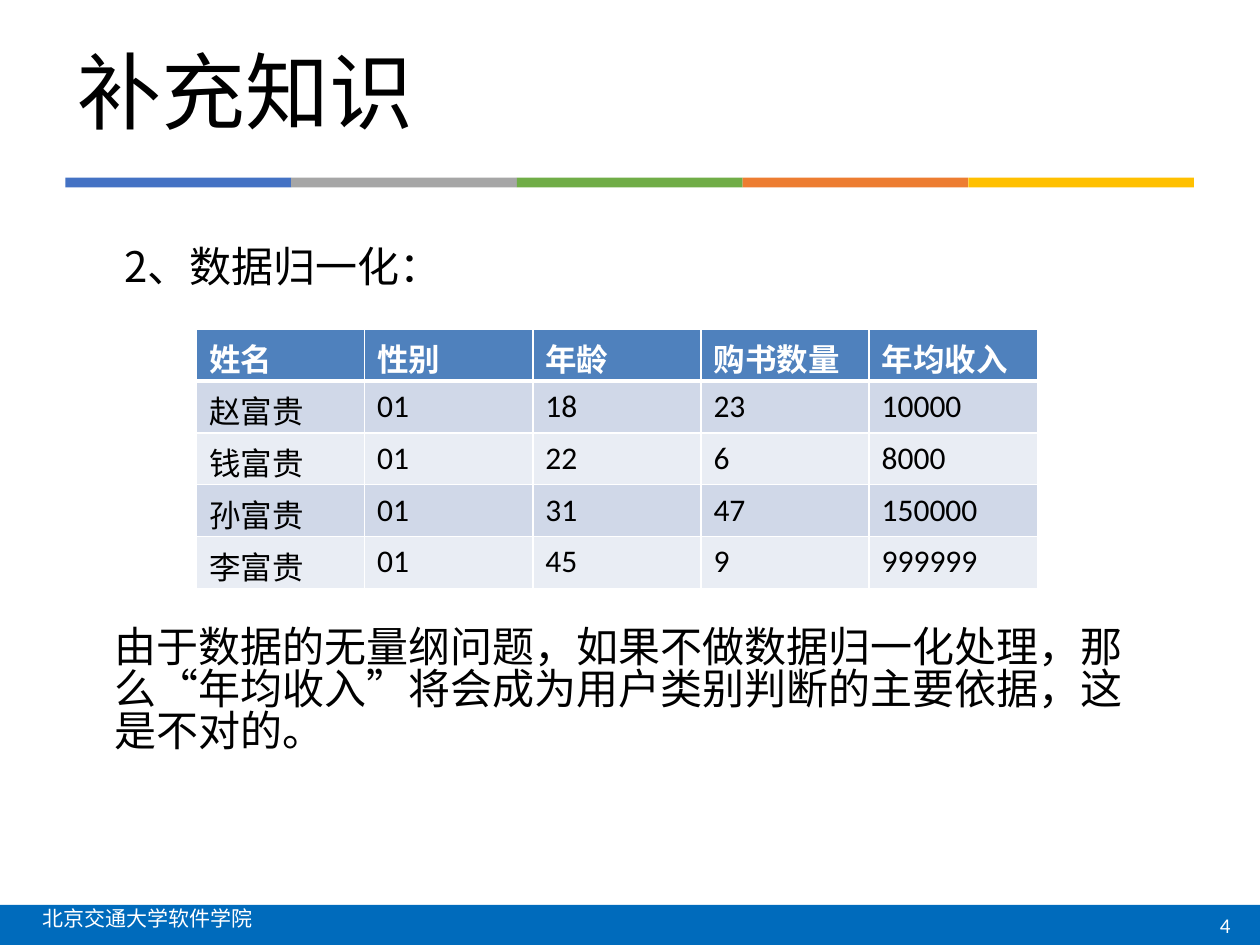
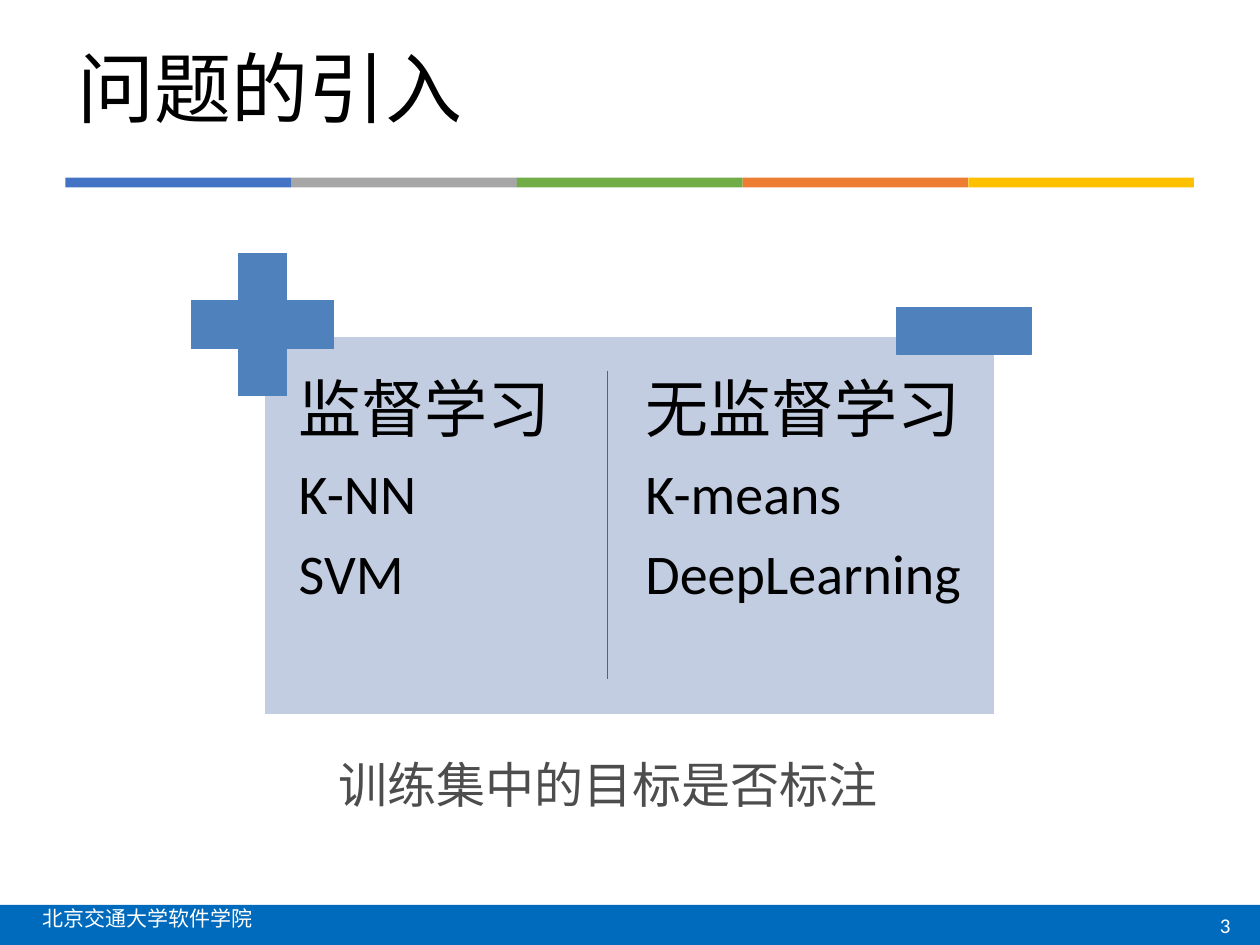
from lxml import etree
from pptx import Presentation
from pptx.dml.color import RGBColor
from pptx.enum.shapes import MSO_CONNECTOR, MSO_SHAPE
from pptx.enum.text import MSO_ANCHOR, MSO_AUTO_SIZE, PP_ALIGN
from pptx.oxml.ns import qn
from pptx.util import Cm, Pt

RECT = MSO_SHAPE.RECTANGLE
PLUS = MSO_SHAPE.CROSS
STRAIGHT = MSO_CONNECTOR.STRAIGHT
TOP = MSO_ANCHOR.TOP
NO_FIT = MSO_AUTO_SIZE.NONE
LEFT = PP_ALIGN.LEFT

WHITE = RGBColor(0xFF, 0xFF, 0xFF)
BLACK = RGBColor(0x00, 0x00, 0x00)
GREY = RGBColor(0x4D, 0x4D, 0x4D)
FOOTER_BLUE = RGBColor(0x00, 0x6B, 0xBC)
BLUE = RGBColor(0x4F, 0x81, 0xBD)
PANEL_BLUE = RGBColor(0xC2, 0xCD, 0xE1)
LINE_BLUE = RGBColor(0x3F, 0x67, 0x97)
ROW_DARK = RGBColor(0xD0, 0xD8, 0xE8)
ROW_LIGHT = RGBColor(0xE9, 0xED, 0xF4)
BAND_COLOURS = [
    RGBColor(0x44, 0x72, 0xC4),
    RGBColor(0xA6, 0xA6, 0xA6),
    RGBColor(0x70, 0xAD, 0x47),
    RGBColor(0xED, 0x7D, 0x31),
    RGBColor(0xFF, 0xC0, 0x00),
]
CJK = "Noto Sans CJK SC"
LATIN = "Calibri"
CJK_SPACING = 0.84


def write(tf, lines, sizes, font=CJK, color=BLACK, bold=False, wrap=True,
          inset=None, spacing=(CJK_SPACING,), after=0):
    """Fill a text frame; sizes and spacing repeat their last entry, after is a share of the size."""
    tf.word_wrap = wrap
    tf.auto_size = NO_FIT
    tf.vertical_anchor = TOP
    if inset is not None:
        tf.margin_left = tf.margin_top = tf.margin_right = tf.margin_bottom = Cm(inset)
    for i, line in enumerate(lines):
        p = tf.paragraphs[0] if i == 0 else tf.add_paragraph()
        size = sizes[min(i, len(sizes) - 1)]
        p.alignment = LEFT
        p.line_spacing = spacing[min(i, len(spacing) - 1)]
        p.space_before = Pt(0)
        p.space_after = Pt(round(size * after, 1))
        r = p.add_run()
        r.text = line
        r.font.size = Pt(size)
        r.font.bold = bold
        r.font.name = font
        r.font.color.rgb = color
        etree.SubElement(r.font._element, qn("a:ea"), typeface=CJK)


def add_block(s, kind, left, top, width, height, fill, line=None):
    sp = s.shapes.add_shape(kind, Cm(left), Cm(top), Cm(width), Cm(height))
    sp.shadow.inherit = False
    sp.fill.solid()
    sp.fill.fore_color.rgb = fill
    if line is None:
        sp.line.fill.background()
    else:
        sp.line.color.rgb = line
        sp.line.width = Pt(0.75)
    return sp


prs = Presentation()
prs.slide_width, prs.slide_height = Cm(25.4), Cm(19.05)

# Title, colour band and footer of both slides
slides = []
for layout, title, title_size, title_width, number in [
    (5, "补充知识", 48, 6.83, "4"),
    (3, "问题的引入", 44, 7.85, "3"),
]:
    s = prs.slides.add_slide(prs.slide_layouts[layout])
    slides.append(s)
    sp = s.shapes.title
    sp.left, sp.top, sp.width, sp.height = Cm(1.57), Cm(1.12), Cm(title_width), Cm(2.06)
    write(sp.text_frame, [title], [title_size], wrap=False, inset=0)

    add_block(s, RECT, 0, 18.24, 25.4, 0.81, FOOTER_BLUE)
    for i, colour in enumerate(BAND_COLOURS):
        add_block(s, RECT, 1.32 + i * 4.55, 3.58, 4.55, 0.2, colour)

    for text, font, left, top, width, spacing in [
        ("北京交通大学软件学院", CJK, 0.86, 18.34, 4.24, CJK_SPACING),
        (number, LATIN, 24.59, 18.39, 0.2, 1.0),
    ]:
        sp = s.shapes.add_textbox(Cm(left), Cm(top), Cm(width), Cm(0.53))
        write(sp.text_frame, [text], [12], font=font, color=WHITE, wrap=False,
              inset=0, spacing=[spacing])

normalisation, learning = slides

# Free text on the two slides
for s, text, size, colour, left, top, width, height in [
    (normalisation, "2、数据归一化：", 24, BLACK, 2.26, 4.88, 12.7, 2.31),
    (normalisation,
     "由于数据的无量纲问题，如果不做数据归一化处理，那么“年均收入”将会成为用户类别判断的主要依据，这是不对的。",
     24, BLACK, 2.06, 12.54, 21.26, 3.33),
    (learning, "训练集中的目标是否标注", 28, GREY, 6.58, 15.28, 13.97, 1.45),
]:
    sp = s.shapes.add_textbox(Cm(left), Cm(top), Cm(width), Cm(height))
    write(sp.text_frame, [text], [size], color=colour)

# Customer table
customers = [
    ["姓名", "性别", "年龄", "购书数量", "年均收入"],
    ["赵富贵", "01", "18", "23", "10000"],
    ["钱富贵", "01", "22", "6", "8000"],
    ["孙富贵", "01", "31", "47", "150000"],
    ["李富贵", "01", "45", "9", "999999"],
]
table = normalisation.shapes.add_table(
    5, 5, Cm(3.96), Cm(6.63), Cm(16.95), Cm(5.15)).table
for column in table.columns:
    column.width = Cm(3.39)
for row in table.rows:
    row.height = Cm(1.03)
for i, values in enumerate(customers):
    header = i == 0
    for j, value in enumerate(values):
        cell = table.cell(i, j)
        write(cell.text_frame, [value], [18], font=LATIN, bold=header,
              color=WHITE if header else BLACK, spacing=[1.0])
        cell.margin_bottom = 0
        tc_pr = cell._tc.get_or_add_tcPr()
        for side in "LRTB":
            thick = (i, side) in [(0, "B"), (1, "T")]
            ln = etree.SubElement(tc_pr, qn("a:ln" + side), w=str(Pt(3 if thick else 1)))
            fill = etree.SubElement(ln, qn("a:solidFill"))
            etree.SubElement(fill, qn("a:srgbClr"), val=str(WHITE))
        cell.fill.solid()
        cell.fill.fore_color.rgb = BLUE if header else ROW_DARK if i % 2 else ROW_LIGHT

# Supervised and unsupervised learning side by side
panel = add_block(learning, RECT, 5.33, 6.78, 14.73, 7.62, PANEL_BLUE, WHITE)
learning.shapes.element.insert(2, panel.element)  # behind the lists
for idx, left, lines in [
    (1, 5.84, ["监督学习", "K-NN", "SVM"]),
    (2, 12.83, ["无监督学习", "K-means", "DeepLearning"]),
]:
    sp = learning.placeholders[idx]
    sp.left, sp.top, sp.width, sp.height = Cm(left), Cm(7.62), Cm(6.83), Cm(6.5)
    write(sp.text_frame, lines, [36, 32], font=LATIN, inset=0.18,
          spacing=[0.9 * CJK_SPACING, 0.9], after=0.35)
    for p in sp.text_frame.paragraphs:
        p_pr = p._p.get_or_add_pPr()
        p_pr.set("marL", "0")
        p_pr.set("indent", "0")
        etree.SubElement(p_pr, qn("a:buNone"))

plus = add_block(learning, PLUS, 3.86, 5.11, 2.87, 2.87, BLUE, BLUE)
plus.adjustments[0] = 0.33
add_block(learning, RECT, 18.08, 6.2, 2.72, 0.94, BLUE, BLUE)
divider = learning.shapes.add_connector(STRAIGHT, Cm(12.24), Cm(7.47), Cm(12.24), Cm(13.69))
divider.line.color.rgb = LINE_BLUE
divider.line.width = Pt(0.75)
etree.SubElement(divider.element.spPr, qn("a:effectLst"))

prs.save("out.pptx")
